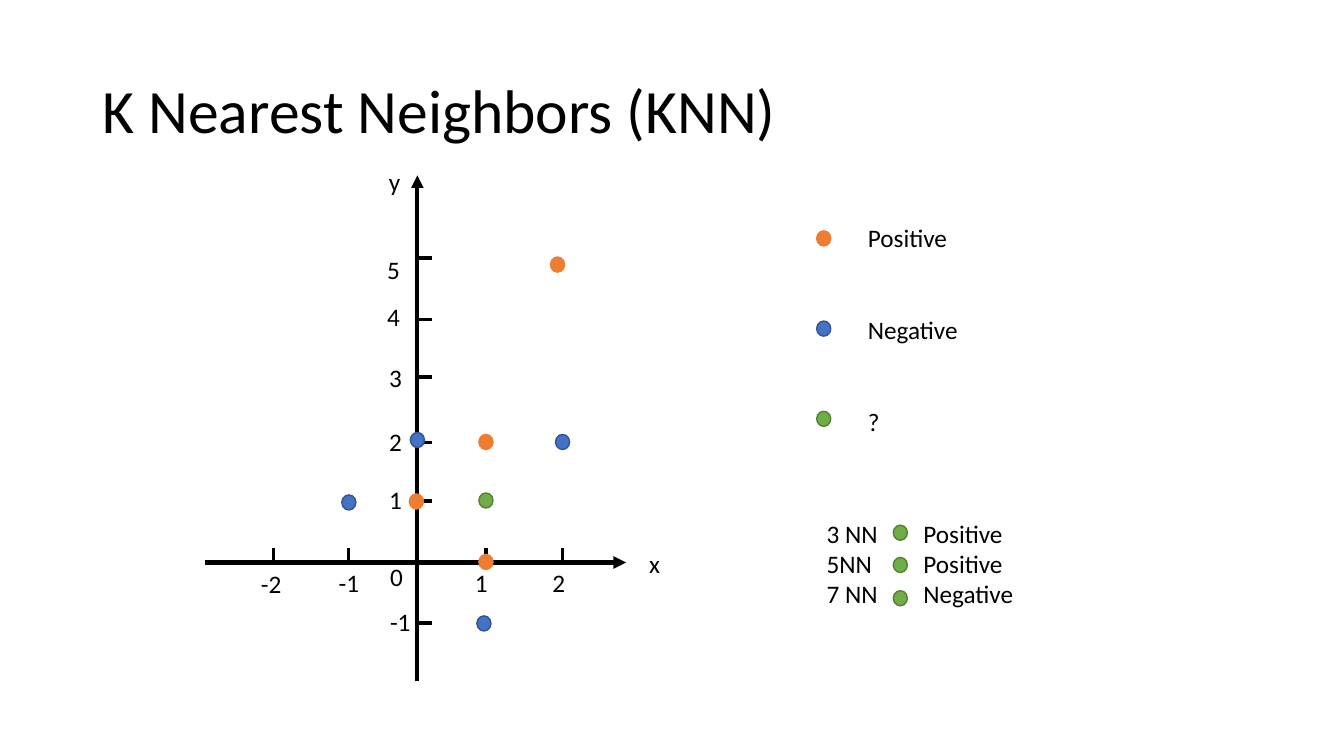
from dataclasses import dataclass

from lxml.etree import SubElement
from pptx import Presentation
from pptx.dml.color import RGBColor
from pptx.enum.shapes import MSO_CONNECTOR, MSO_SHAPE
from pptx.enum.text import MSO_ANCHOR
from pptx.oxml.ns import qn
from pptx.slide import Slide
from pptx.util import Inches, Pt


@dataclass(frozen=True)
class Tone:
    fill: str
    line: str


@dataclass(frozen=True)
class Theme:
    font: str = "Calibri"
    ink: str = "000000"
    title: float = 44
    body: float = 18
    axis: float = 3
    tick: float = 2.25
    edge: float = 1
    positive: Tone = Tone("ED7D31", "ED7D31")
    negative: Tone = Tone("4472C4", "325491")
    unknown: Tone = Tone("70AD47", "538035")


@dataclass(frozen=True)
class Dot:
    x: float
    y: float
    tone: Tone


@dataclass(frozen=True)
class Label:
    text: str
    x: float
    y: float
    width: float = 0.14


@dataclass(frozen=True)
class Line:
    x1: float
    y1: float
    x2: float
    y2: float
    weight: float
    arrow: bool = False


THEME = Theme()
AXIS_X, AXIS_Y = 4.14, 5.58
TICK = 0.14
VERDICT_X = 0.96

AXES = [
    Line(2.03, AXIS_Y, 6.21, AXIS_Y, THEME.axis, True),
    Line(AXIS_X, 6.76, AXIS_X, 1.74, THEME.axis, True),
]
TICKS = [
    Line(x, AXIS_Y, x, AXIS_Y - TICK, THEME.tick) for x in (2.71, 3.46, 4.82, 5.58)
] + [
    Line(AXIS_X, y, AXIS_X + TICK, y, THEME.tick)
    for y in (6.18, 4.97, 4.39, 3.74, 3.17, 2.56)
]
LABELS = [
    Label("0", 3.87, 5.52),
    Label("1", 4.71, 5.58),
    Label("2", 5.48, 5.58),
    Label("-1", 3.26, 5.58, 0.5),
    Label("-2", 2.49, 5.59, 0.5),
    Label("1", 3.86, 4.76),
    Label("2", 3.86, 4.18),
    Label("3", 3.86, 3.55),
    Label("4", 3.84, 2.94),
    Label("5", 3.84, 2.47),
    Label("-1", 3.77, 5.97, 0.5),
    Label("x", 6.34, 5.39, 0.27),
    Label("y", 3.76, 1.6, 0.27),
]
POINTS = [
    Dot(4.06, 4.9, THEME.positive),
    Dot(4.75, 5.5, THEME.positive),
    Dot(4.75, 4.31, THEME.positive),
    Dot(5.46, 2.55, THEME.positive),
    Dot(5.51, 4.31, THEME.negative),
    Dot(3.39, 4.91, THEME.negative),
    Dot(4.07, 4.29, THEME.negative),
    Dot(4.73, 6.11, THEME.negative),
    Dot(4.75, 4.89, THEME.unknown),
]
TONES = (THEME.positive, THEME.negative, THEME.unknown)
KEYS = [Dot(8.1, 2.29 + 0.895 * row, tone) for row, tone in enumerate(TONES)]
VOTES = [Dot(8.86, y, THEME.unknown) for y in (5.21, 5.53, 5.86)]


def color(code: str) -> RGBColor:
    return RGBColor.from_string(code)


def add_text(slide: Slide, lines: list[str], x: float, y: float, width: float,
             height: float, size: float = THEME.body, inset: float = 0.1,
             gap: float = 0, tab: float = 0, spacing: float = 1) -> None:
    """Add one paragraph per line; gap is the space between them in points."""
    box = slide.shapes.add_textbox(
        Inches(x), Inches(y), Inches(width), Inches(height))
    frame = box.text_frame
    frame.word_wrap = True
    frame.margin_left = frame.margin_right = Inches(inset)
    if size == THEME.title:
        frame.vertical_anchor = MSO_ANCHOR.MIDDLE
    for row, text in enumerate(lines):
        para = frame.paragraphs[0] if row == 0 else frame.add_paragraph()
        para.line_spacing = spacing
        if row and gap:
            para.space_before = Pt(gap)
        if tab:
            stops = SubElement(para._p.get_or_add_pPr(), qn("a:tabLst"))
            SubElement(stops, qn("a:tab"), pos=str(Inches(tab)), algn="l")
        run = para.add_run()
        run.text = text
        run.font.name = THEME.font
        run.font.size = Pt(size)
        run.font.color.rgb = color(THEME.ink)


def add_line(slide: Slide, line: Line) -> None:
    link = slide.shapes.add_connector(
        MSO_CONNECTOR.STRAIGHT, Inches(line.x1), Inches(line.y1),
        Inches(line.x2), Inches(line.y2))
    link.line.color.rgb = color(THEME.ink)
    link.line.width = Pt(line.weight)
    if line.arrow:
        SubElement(link.line._get_or_add_ln(), qn("a:tailEnd"), type="triangle")
    SubElement(link._element.spPr, qn("a:effectLst"))


def add_dot(slide: Slide, dot: Dot) -> None:
    oval = slide.shapes.add_shape(
        MSO_SHAPE.OVAL, Inches(dot.x), Inches(dot.y), Inches(0.14), Inches(0.15))
    oval.shadow.inherit = False
    oval.fill.solid()
    oval.fill.fore_color.rgb = color(dot.tone.fill)
    oval.line.color.rgb = color(dot.tone.line)
    oval.line.width = Pt(THEME.edge)


def main() -> None:
    deck = Presentation()
    deck.slide_width, deck.slide_height = Inches(13.33), Inches(7.5)
    slide = deck.slides.add_slide(deck.slide_layouts[6])

    add_text(slide, ["K Nearest Neighbors (KNN)"], 0.92, 0.4, 11.5, 1.45,
             size=THEME.title, spacing=0.9)
    for line in AXES + TICKS:
        add_line(slide, line)
    for label in LABELS:
        add_text(slide, [label.text], label.x, label.y, label.width, 0.4,
                 inset=0.1 if label.width > 0.2 else 0)
    add_text(slide, ["Positive", "Negative", "?"], 8.51, 2.16, 1.27, 2.22, gap=44)
    add_text(slide, ["3 NN\tPositive", "5NN\tPositive", "7 NN\tNegative"],
             8.1, 5.09, 2.59, 1.01, tab=VERDICT_X)
    for dot in POINTS + KEYS + VOTES:
        add_dot(slide, dot)
    deck.save("out.pptx")


if __name__ == "__main__":
    main()
